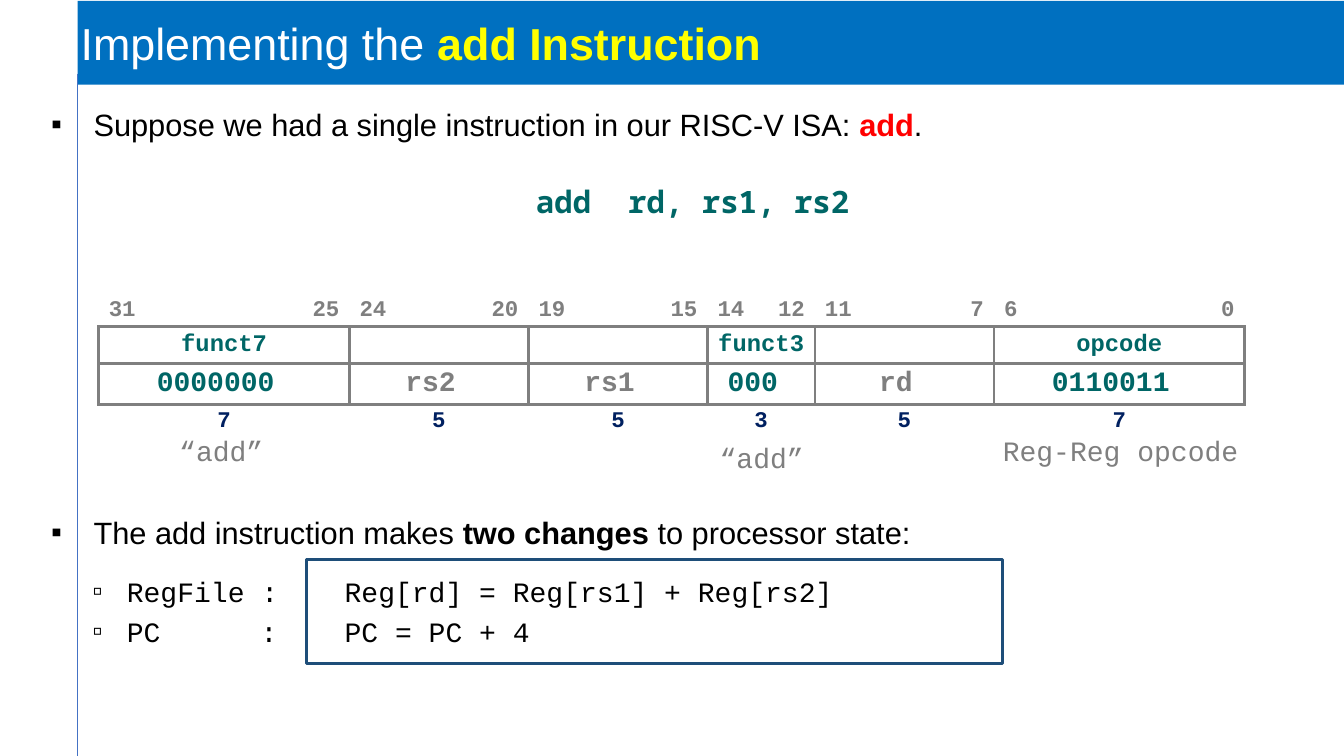
"""Build the slide on implementing the RISC-V add instruction."""
from lxml import etree
from pptx import Presentation
from pptx.dml.color import RGBColor
from pptx.enum import shapes, text
from pptx.oxml import ns
from pptx.util import Inches, Pt

WHITE = RGBColor(0xFF, 0xFF, 0xFF)
BLACK = RGBColor(0, 0, 0)
BLUE = RGBColor(0x00, 0x70, 0xC0)
YELLOW = RGBColor(0xFF, 0xFF, 0x00)
RED = RGBColor(0xFF, 0, 0)
TEAL = RGBColor(0x00, 0x66, 0x66)
GRAY = RGBColor(0x7F, 0x7F, 0x7F)
NAVY = RGBColor(0x00, 0x20, 0x60)
FRAME = RGBColor(0x1E, 0x4E, 0x79)
RULE = RGBColor(0x44, 0x72, 0xC4)
LEFT, CENTER, RIGHT = text.PP_ALIGN.LEFT, text.PP_ALIGN.CENTER, text.PP_ALIGN.RIGHT
MONO = "Courier New"


def write(paragraph, *runs, size, font="Arial", color=BLACK, bold=False, align=LEFT,
          bullet=None, margin=0, indent=0, tabs=(), before=0, spacing=1.0):
    """Fill a paragraph with runs given as text or (text, color, bold)."""
    properties = paragraph._p.get_or_add_pPr()
    if bullet:
        properties.set("marL", str(Inches(margin)))
        properties.set("indent", str(Inches(indent)))
        etree.SubElement(properties, ns.qn("a:buFont")).set("typeface", "Arial")
        etree.SubElement(properties, ns.qn("a:buChar")).set("char", bullet)
    if tabs:
        tab_list = etree.SubElement(properties, ns.qn("a:tabLst"))
        for position in tabs:
            etree.SubElement(tab_list, ns.qn("a:tab"), pos=str(Inches(position)), algn="l")
    paragraph.alignment = align
    paragraph.space_before = Pt(before)
    paragraph.line_spacing = spacing
    for item in runs:
        words, run_color, run_bold = (item, color, bold) if isinstance(item, str) else item
        run = paragraph.add_run()
        run.text = words
        run.font.name, run.font.size, run.font.bold = font, Pt(size), run_bold
        run.font.color.rgb = run_color


def prepare_cell(cell, sides):
    """Give a cell gray borders on the given sides, no fill and a small empty line."""
    cell.fill.background()
    etree.SubElement(cell.text_frame.paragraphs[0]._p, ns.qn("a:endParaRPr"), sz="1600")
    properties = cell._tc.get_or_add_tcPr()
    for position, side in enumerate("LRTB"):
        line = etree.Element(ns.qn(f"a:ln{side}"), w=str(Pt(2.25)))
        if side in sides:
            fill = etree.SubElement(line, ns.qn("a:solidFill"))
            etree.SubElement(fill, ns.qn("a:srgbClr")).set("val", str(GRAY))
        else:
            etree.SubElement(line, ns.qn("a:noFill"))
        properties.insert(position, line)


presentation = Presentation()
presentation.slide_width, presentation.slide_height = Inches(13.33), Inches(7.5)
slide = presentation.slides.add_slide(presentation.slide_layouts[6])

title = slide.shapes.add_shape(shapes.MSO_SHAPE.RECTANGLE, Inches(0.77), Inches(0.01),
                               Inches(12.56), Inches(0.83))
title.shadow.inherit = False
title.fill.solid()
title.fill.fore_color.rgb = BLUE
title.line.fill.background()
title_frame = title.text_frame
title_frame.word_wrap = True
title_frame.vertical_anchor = text.MSO_ANCHOR.MIDDLE
title_frame.margin_left = title_frame.margin_right = Inches(0.03)
title_frame.margin_top = title_frame.margin_bottom = Inches(0.03)
write(title_frame.paragraphs[0], "Implementing the ", ("add Instruction", YELLOW, True),
      size=32, color=WHITE)

margin_rule = slide.shapes.add_connector(shapes.MSO_CONNECTOR.STRAIGHT, Inches(0.77),
                                         Inches(0.73), Inches(0.77), Inches(7.5))
margin_rule.line.color.rgb = RULE
margin_rule.line.width = Pt(0.75)
etree.SubElement(margin_rule._element.spPr, ns.qn("a:effectLst"))

body = slide.shapes.add_textbox(Inches(0.32), Inches(1), Inches(12.66), Inches(5.76)).text_frame
body.word_wrap = True
point = dict(size=22, bullet="▪", margin=0.51, indent=-0.42)
change = dict(size=20, font=MONO, bullet="▫", margin=0.84, indent=-0.34, spacing=1.2)
write(body.paragraphs[0], "Suppose we had a single instruction in our RISC-V ISA: ",
      ("add", RED, True), ".", **point)
write(body.add_paragraph(), "The add instruction makes ", ("two changes ", BLACK, True),
      "to processor state:", before=265, **point)
write(body.add_paragraph(), "RegFile :\tReg[rd] = Reg[rs1] + Reg[rs2]", before=12,
      tabs=(3,), **change)
write(body.add_paragraph(), "PC\t :\tPC = PC + 4", tabs=(2, 3), **change)

syntax = slide.shapes.add_textbox(Inches(3.34), Inches(1.76), Inches(7.06), Inches(0.47)).text_frame
syntax.word_wrap = True
write(syntax.paragraphs[0], "add  rd, rs1, rs2", size=22, font="Noto Sans Mono",
      color=TEAL, bold=True, align=CENTER)

BIT = 11.37 / 32
COLUMN_BITS = {7: (2, 1, 1, 1, 2), 5: (2, 1, 2), 3: (1.5, 1.5)}
ROW_HEIGHTS = (0.37, 0.37, 0.38, 0.35)
fields = [
    (31, 25, "funct7", "0000000 ", TEAL),
    (24, 20, "", "rs2 ", GRAY),
    (19, 15, "", "rs1 ", GRAY),
    (14, 12, "funct3", "000 ", TEAL),
    (11, 7, "", "rd ", GRAY),
    (6, 0, "opcode", "0110011 ", TEAL),
]
column_bits = [bits for high, low, *_ in fields for bits in COLUMN_BITS[high - low + 1]]
table = slide.shapes.add_table(len(ROW_HEIGHTS), len(column_bits), Inches(0.98), Inches(2.87),
                               Inches(11.37), Inches(sum(ROW_HEIGHTS))).table
table.first_row = table.horz_banding = False
for column, bits in zip(table.columns, column_bits):
    column.width = Inches(bits * BIT)
for row, height, sides in zip(table.rows, ROW_HEIGHTS, ("B", "LRTB", "LRTB", "T")):
    row.height = Inches(height)
    for cell in row.cells:
        prepare_cell(cell, sides)

start = 0
cell_style = dict(font=MONO, bold=True, spacing=0.9)
for high, low, name, value, value_color in fields:
    width = high - low + 1
    end = start + len(COLUMN_BITS[width]) - 1
    for column_index, number, align in [(start, high, LEFT), (end, low, RIGHT)]:
        cell = table.cell(0, column_index)
        cell.vertical_anchor = text.MSO_ANCHOR.BOTTOM
        write(cell.text_frame.paragraphs[0], str(number), size=16, color=GRAY,
              align=align, **cell_style)
    rows = [(name, 17, TEAL), (value, 20, value_color), (str(width), 16, NAVY)]
    for row_index, (words, size, color) in enumerate(rows, 1):
        cell = table.cell(row_index, start)
        cell.merge(table.cell(row_index, end))
        if words:
            write(cell.text_frame.paragraphs[0], words, size=size, color=color,
                  align=CENTER, **cell_style)
    start = end + 1

for words, left, top, width in [("“add”", 1.6, 4.25, 1.19), ("Reg-Reg opcode", 9.71, 4.25, 2.81),
                                ("“add”", 6.96, 4.32, 1.19)]:
    note = slide.shapes.add_textbox(Inches(left), Inches(top), Inches(width), Inches(0.44))
    note.text_frame.word_wrap = True
    write(note.text_frame.paragraphs[0], words, size=20, font=MONO, color=GRAY, align=CENTER)

frame = slide.shapes.add_shape(shapes.MSO_SHAPE.RECTANGLE, Inches(3.04), Inches(5.55),
                               Inches(6.9), Inches(1.03))
frame.shadow.inherit = False
frame.fill.background()
frame.line.color.rgb = FRAME
frame.line.width = Pt(2.25)

presentation.save("out.pptx")
